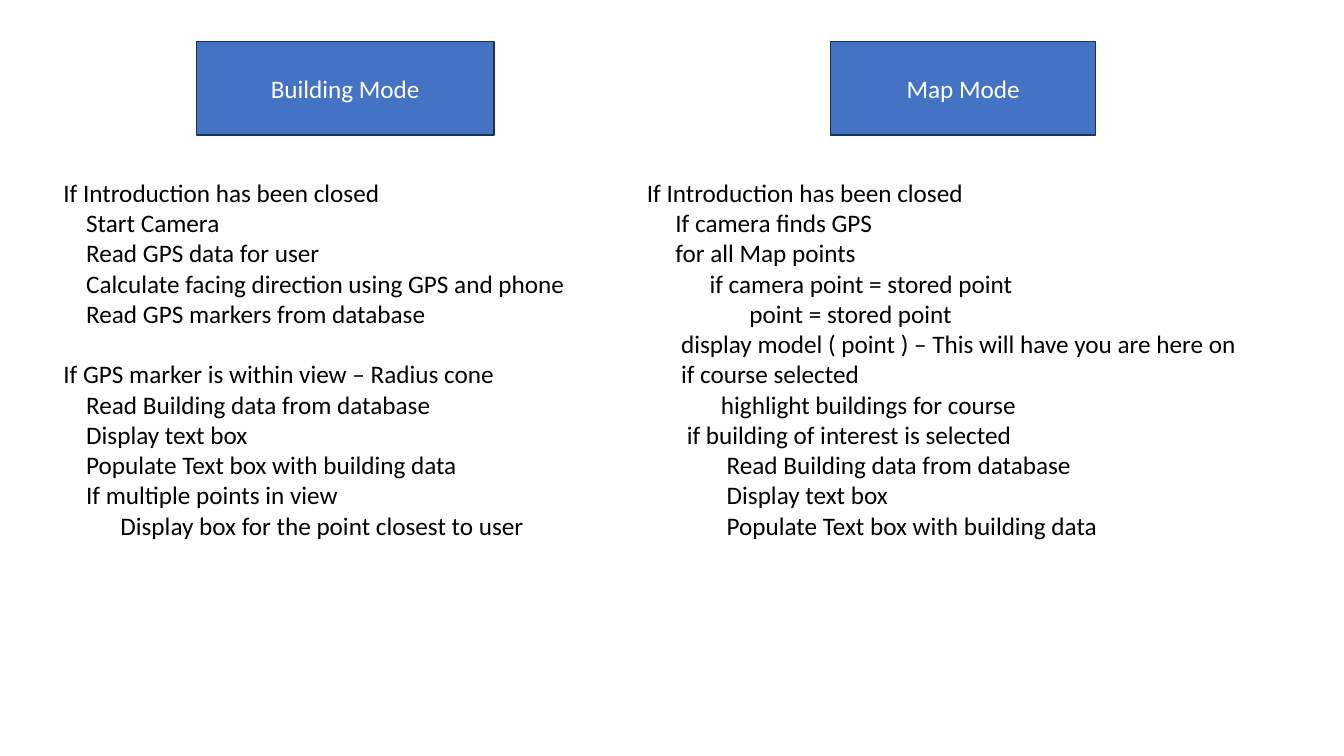
from pptx import Presentation
from pptx import util as u
from pptx.dml import color
from pptx.enum import shapes, text

FONT = "Calibri"
FONT_SIZE = 18
LINE_HEIGHT = 21.6
INDENT_UNIT = 4.07  # points per indent step
HEADING_HEIGHT = 67
STEPS_OFFSET = 93.6  # from heading top to steps top

# Each mode is a list of blocks; each step is (indent units, wording)
BUILDING_BLOCKS = [
    [
        (0, "If Introduction has been closed"),
        (4, "Start Camera"),
        (4, "Read GPS data for user"),
        (4, "Calculate facing direction using GPS and phone"),
        (4, "Read GPS markers from database"),
    ],
    [
        (0, "If GPS marker is within view – Radius cone"),
        (4, "Read Building data from database"),
        (4, "Display text box"),
        (4, "Populate Text box with building data"),
        (4, "If multiple points in view"),
        (10, "Display box for the point closest to user"),
    ],
]
MAP_BLOCKS = [
    [
        (0, "If Introduction has been closed"),
        (5, "If camera finds GPS"),
        (5, "for all Map points"),
        (11, "if camera point = stored point"),
        (18, "point = stored point"),
        (6, "display model ( point ) – This will have you are here on"),
        (6, "if course selected"),
        (13, "highlight buildings for course"),
        (7, "if building of interest is selected"),
        (14, "Read Building data from database"),
        (14, "Display text box"),
        (14, "Populate Text box with building data"),
    ],
]


def rgb(hex_code):
    return color.RGBColor.from_string(hex_code)


def style(paragraph, hex_code):
    paragraph.font.name = FONT
    paragraph.font.size = u.Pt(FONT_SIZE)
    paragraph.font.color.rgb = rgb(hex_code)


def add_heading(slide, wording, left, top, width, height):
    heading = slide.shapes.add_shape(
        shapes.MSO_SHAPE.RECTANGLE, u.Pt(left), u.Pt(top), u.Pt(width), u.Pt(height))
    heading.shadow.inherit = False
    heading.fill.solid()
    heading.fill.fore_color.rgb = rgb("4472C4")
    heading.line.color.rgb = rgb("1E3256")
    heading.line.width = u.Pt(1)
    frame = heading.text_frame
    frame.vertical_anchor = text.MSO_ANCHOR.MIDDLE
    label = frame.paragraphs[0]
    label.text = wording
    label.alignment = text.PP_ALIGN.CENTER
    style(label, "FFFFFF")


def add_steps(slide, blocks, left, top, width, height):
    steps = slide.shapes.add_textbox(u.Pt(left), u.Pt(top), u.Pt(width), u.Pt(height))
    frame = steps.text_frame
    frame.word_wrap = True
    for block_no, block in enumerate(blocks):
        for step_no, (indent, wording) in enumerate(block):
            first = block_no == 0 and step_no == 0
            step = frame.paragraphs[0] if first else frame.add_paragraph()
            step.text = wording
            style(step, "000000")
            # Left margin sets the nesting of the step
            step._p.get_or_add_pPr().set("marL", str(u.Pt(indent * INDENT_UNIT)))
            # One line of space separates blocks
            if block_no and step_no == 0:
                step.space_before = u.Pt(LINE_HEIGHT)


def add_mode(slide, title, blocks, box, heading_offset, heading_width):
    left, top, width, height = box
    add_heading(slide, title, left + heading_offset, top, heading_width, HEADING_HEIGHT)
    add_steps(slide, blocks, left, top + STEPS_OFFSET, width, height - STEPS_OFFSET)


def main():
    deck = Presentation()
    deck.slide_width, deck.slide_height = u.Pt(960), u.Pt(540)
    slide = deck.slides.add_slide(deck.slide_layouts[6])

    # Left column
    add_mode(slide, "Building Mode", BUILDING_BLOCKS, (38.2, 29.5, 416.9, 362.9), 102.2, 212.4)
    # Right column
    add_mode(slide, "Map Mode", MAP_BLOCKS, (455, 29.5, 466.6, 384.5), 138.3, 189.4)

    deck.save("out.pptx")


if __name__ == "__main__":
    main()
